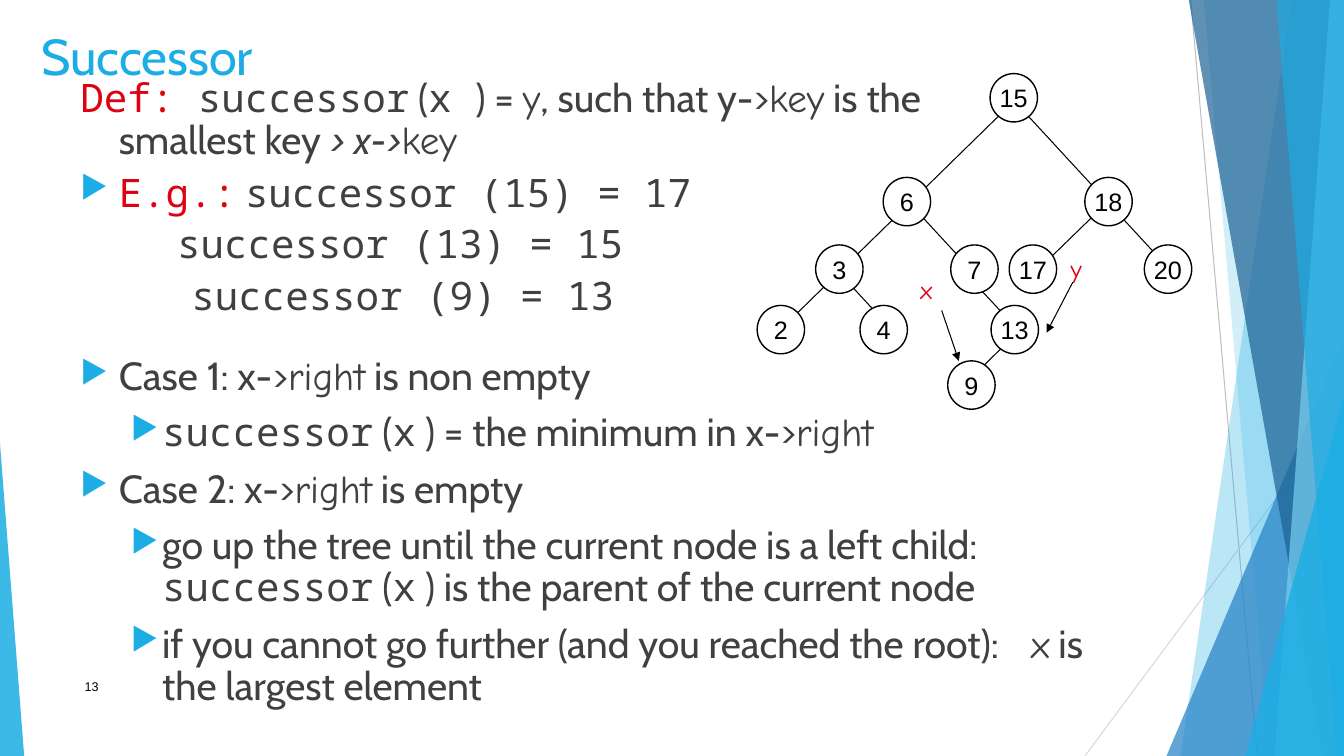
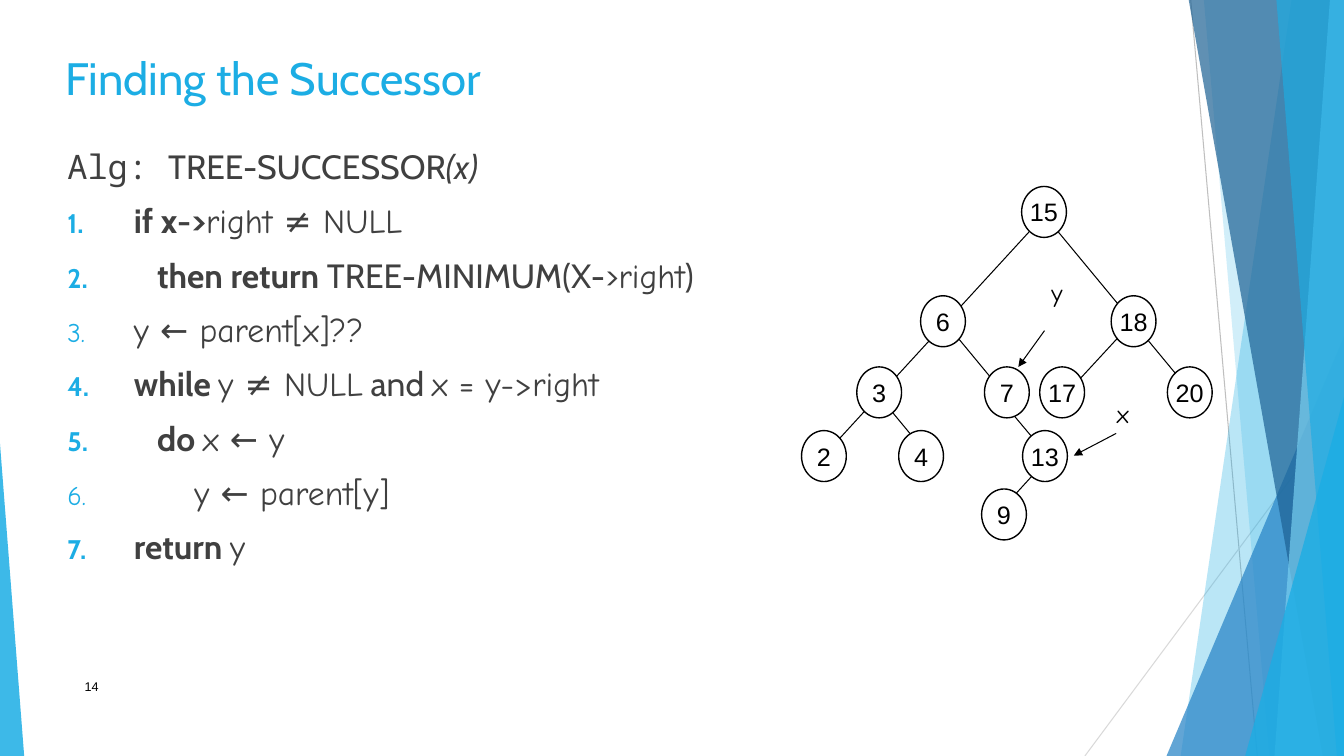
"""Build two slides on finding the successor of a key in a binary search tree."""
import lxml.etree
import pptx
import pptx.dml.color
import pptx.enum.shapes
import pptx.enum.text
import pptx.oxml.ns
import pptx.util

Inches = pptx.util.Inches
Pt = pptx.util.Pt
qn = pptx.oxml.ns.qn
SubElement = lxml.etree.SubElement

BLUE, GREY, BLACK, RED, WHITE = "1CADE4", "404040", "000000", "DD0111", "FFFFFF"
CABIN, COMIC, MONO, ARIAL = "Cabin", "Comic Neue", "Noto Sans Mono", "Arial"
WIDTH, HEIGHT = 13.33, 7.5


def rgb(value):
    """Turn a hex string into a colour."""
    return pptx.dml.color.RGBColor.from_string(value)


def add_line(slide, start_x, start_y, end_x, end_y, color=BLACK, arrow=False):
    """Draw a thin straight line without shadow, with an arrowhead if asked."""
    connector = slide.shapes.add_connector(
        pptx.enum.shapes.MSO_CONNECTOR.STRAIGHT,
        Inches(start_x), Inches(start_y), Inches(end_x), Inches(end_y))
    connector.line.color.rgb = rgb(color)
    connector.line.width = Pt(0.75)
    properties = connector._element.spPr
    if arrow:
        SubElement(properties.find(qn("a:ln")), qn("a:tailEnd"), type="triangle")
    SubElement(properties, qn("a:effectLst"))


backdrop_lines = [
    (11.81, 0, 12.47, HEIGHT, "BFBFBF"),
    (WIDTH, 4.04, 10.76, HEIGHT, "D9D9D9"),
]
backdrop = [
    ("band", (12.81, 11.71), BLUE, 30),
    ("band", (11.94, 12.59), BLUE, 20),
    ("triangle", (11.57, 3.34, 1.76, 1), "2683C6", 72),
    ("band", (11.79, 13.12), "1D6294", 70),
    ("band", (13.19, 12.64), "77CEEF", 70),
    ("band", (12.66, 13.26), BLUE, 65),
    ("triangle", (12.35, 3.94, 0.98, 1), BLUE, 80),
    ("triangle", (0, 4.4, 0.24, 0), BLUE, 85),
]

tree_left, tree_top = 7.51, 0.73
node_width, node_height = 0.47, 0.48
nodes = [
    ("3", 8.09, 2.43), ("2", 7.51, 3.03), ("4", 8.53, 3.03), ("6", 8.76, 1.76),
    ("7", 9.43, 2.43), ("13", 9.83, 3.03), ("15", 9.82, 0.73), ("18", 10.76, 1.76),
    ("17", 10.01, 2.43), ("20", 11.35, 2.43), ("9", 9.4, 3.58),
]
branches = [
    (9.52, 3.86, 10.12, 3.27), (9.61, 2.75, 10.19, 3.37), (10.25, 2.72, 11, 1.99),
    (8.89, 3.32, 8.18, 2.55), (9.68, 2.73, 8.97, 1.96), (11.7, 2.78, 9.92, 0.85),
    (7.75, 3.26, 10.1, 0.96),
]

number = dict(size=9, color=BLACK)
title = dict(size=36, color=BLUE)
red_label = dict(size=18, color=RED)
black_label = dict(size=18, color=BLACK)
plain = dict(size=28, color=GREY, margin=0.38, indent=-0.38, spacing=0.9, before=10)
point = dict(plain, bullet="▶")
subpoint = dict(point, margin=0.81, indent=-0.31)
example = dict(plain, indent=0, spacing=0.8)
heading = dict(size=24, color=GREY, margin=0.58, indent=-0.58, before=10)
step = dict(heading, margin=0.66, indent=-0.66, bullet="1.")
inner_step = dict(step, margin=0.89, indent=-0.89)
deep_step = dict(step, margin=1.26, indent=-1.26)

successor_body = [
    (plain, [("Def:", MONO, "red"), (" successor", MONO), (" (", CABIN), ("x ", MONO),
             (") = ", CABIN), ("y", COMIC), (", such that y->", CABIN), ("key", COMIC),
             (" is the", CABIN), ("\n", CABIN), ("smallest key ", CABIN),
             ("> x->", CABIN, "italic"), ("key", COMIC)]),
    (dict(point, spacing=0.8), [("E.g.:", MONO, "red"), (" ", CABIN),
                                ("successor (15) = 17", MONO)]),
    (dict(example, margin=0.96), [("successor (13) = 15", MONO)]),
    (dict(example, margin=1.1), [("successor (9) = 13", MONO)]),
    (dict(point, before=27.5), [("Case 1: x->", CABIN), ("right", COMIC),
                                (" is non empty", CABIN)]),
    (subpoint, [("successor", MONO), (" (", CABIN), ("x", MONO),
                (" ) = the minimum in x->", CABIN), ("right", COMIC)]),
    (point, [("Case 2: x->", CABIN), ("right", COMIC), (" is empty", CABIN)]),
    (subpoint, [("go up the tree until the current node is a left child: ", CABIN),
                ("successor", MONO), (" (", CABIN), ("x", MONO),
                (" ) is the parent of the current node", CABIN)]),
    (subpoint, [("if you cannot go further (and you reached the root):", CABIN),
                (" ", CABIN, "wide"), ("x", COMIC), (" is the largest element", CABIN)]),
]
algorithm_body = [
    (heading, [("Alg: ", MONO), ("TREE-SUCCESSOR", CABIN), ("(x)", CABIN, "italic")]),
    (step, [("if x->", CABIN, "bold"), ("right ≠ NULL", COMIC)]),
    (inner_step, [("then return ", CABIN, "bold"), ("TREE-MINIMUM(X->", CABIN),
                  ("right", COMIC), (")", CABIN)]),
    (step, [("y ← parent[x]??", COMIC)]),
    (step, [("while ", CABIN, "bold"), ("y ≠ NULL", COMIC), (" and ", CABIN),
            ("x = y->right", COMIC)]),
    (inner_step, [("do ", CABIN, "bold"), ("x ← y", COMIC)]),
    (deep_step, [("y ← parent[y]", COMIC)]),
    (step, [("return ", CABIN, "bold"), ("y", COMIC)]),
]

slides = [
    dict(
        tree=(7.51, 0.73, 1, 1),
        arrows=[(9.34, 3.08, 9.51, 3.58), (10.64, 2.8, 10.38, 3.3)],
        texts=[
            ((0.74, 6.69, 6.89, 0.25), [(number, [("13", ARIAL)])]),
            ((0.31, 0.2, 9.4, 0.7), [(title, [("Successor", CABIN)])]),
            ((0.7, 0.73, 10.37, 5.94), successor_body),
            ((9.03, 2.67, 0.47, 0.55), [(red_label, [("x", COMIC)])]),
            ((10.52, 2.46, 0.44, 0.55), [(red_label, [("y", COMIC)])]),
        ],
    ),
    dict(
        tree=(7.95, 1.85, 0.945, 1.053),
        arrows=[(10.36, 3.28, 10.1, 3.64), (11.07, 4.3, 10.65, 4.52)],
        texts=[
            ((0.74, 6.69, 6.89, 0.25), [(number, [("14", ARIAL)])]),
            ((0.55, 0.45, 10.83, 0.66),
             [(dict(title, size=32.4), [("Finding the Successor", CABIN)])]),
            ((0.57, 1.4, 9.4, 4.24), algorithm_body),
            ((10.33, 2.7, 0.42, 0.58), [(black_label, [("y", COMIC)])]),
            ((10.98, 3.9, 0.42, 0.58), [(black_label, [("x", COMIC)])]),
        ],
    ),
]

presentation = pptx.Presentation()
presentation.slide_width = Inches(WIDTH)
presentation.slide_height = Inches(HEIGHT)

for content in slides:
    slide = presentation.slides.add_slide(presentation.slide_layouts[6])

    for line in backdrop_lines:
        add_line(slide, *line)
    for kind, geometry, color, opacity in backdrop:
        if kind == "band":
            top_x, bottom_x = geometry
            builder = slide.shapes.build_freeform(Inches(top_x), 0)
            builder.add_line_segments([
                (Inches(WIDTH), 0), (Inches(WIDTH), Inches(HEIGHT)),
                (Inches(bottom_x), Inches(HEIGHT))])
            shape = builder.convert_to_shape()
        else:
            left, top, width, apex = geometry
            shape = slide.shapes.add_shape(
                pptx.enum.shapes.MSO_SHAPE.ISOSCELES_TRIANGLE,
                Inches(left), Inches(top), Inches(width), Inches(HEIGHT - top))
            shape.adjustments[0] = apex
        shape.shadow.inherit = False
        shape.line.fill.background()
        shape.fill.solid()
        shape.fill.fore_color.rgb = rgb(color)
        fill_color = shape._element.spPr.find(qn("a:solidFill"))[0]
        SubElement(fill_color, qn("a:alpha"), val=str(opacity * 1000))

    for box, paragraphs in content["texts"]:
        text_box = slide.shapes.add_textbox(*[Inches(length) for length in box])
        frame = text_box.text_frame
        frame.word_wrap = True
        for index, (style, runs) in enumerate(paragraphs):
            paragraph = frame.add_paragraph() if index else frame.paragraphs[0]
            properties = paragraph._p.get_or_add_pPr()
            properties.set("marL", str(Inches(style.get("margin", 0))))
            properties.set("indent", str(Inches(style.get("indent", 0))))
            bullet = style.get("bullet")
            if bullet:
                bullet_color = SubElement(properties, qn("a:buClr"))
                SubElement(bullet_color, qn("a:srgbClr"), val=BLUE)
                SubElement(properties, qn("a:buSzPct"), val="80000")
                if bullet == "1.":
                    SubElement(properties, qn("a:buFont"), typeface=CABIN)
                    SubElement(properties, qn("a:buAutoNum"), type="arabicPeriod")
                else:
                    SubElement(properties, qn("a:buChar"), char=bullet)
            paragraph.line_spacing = style.get("spacing", 1.0)
            paragraph.space_before = Pt(style.get("before", 0))
            paragraph.font.size = Pt(style["size"])
            paragraph.font.color.rgb = rgb(style["color"])
            for text, font, *options in runs:
                if text == "\n":
                    paragraph.add_line_break()
                    continue
                run = paragraph.add_run()
                run.text = text
                run.font.name = font
                if "bold" in options:
                    run.font.bold = True
                if "italic" in options:
                    run.font.italic = True
                if "red" in options:
                    run.font.color.rgb = rgb(RED)
                if "wide" in options:
                    run.font._element.set("spc", "1700")

    left, top, scale_x, scale_y = content["tree"]
    for start_x, start_y, end_x, end_y in branches:
        add_line(slide,
                 left + (start_x - tree_left) * scale_x, top + (start_y - tree_top) * scale_y,
                 left + (end_x - tree_left) * scale_x, top + (end_y - tree_top) * scale_y)
    for key, node_x, node_y in nodes:
        node = slide.shapes.add_shape(
            pptx.enum.shapes.MSO_SHAPE.OVAL,
            Inches(left + (node_x - tree_left) * scale_x),
            Inches(top + (node_y - tree_top) * scale_y),
            Inches(node_width * scale_x), Inches(node_height * scale_y))
        node.shadow.inherit = False
        node.fill.solid()
        node.fill.fore_color.rgb = rgb(WHITE)
        node.line.color.rgb = rgb(BLACK)
        node.line.width = Pt(1)
        frame = node.text_frame
        frame.word_wrap = False
        frame.vertical_anchor = pptx.enum.text.MSO_ANCHOR.MIDDLE
        paragraph = frame.paragraphs[0]
        paragraph.alignment = pptx.enum.text.PP_ALIGN.CENTER
        paragraph.font.name = ARIAL
        paragraph.font.size = Pt(18)
        paragraph.font.color.rgb = rgb(BLACK)
        paragraph.add_run().text = key
    for arrow in content["arrows"]:
        add_line(slide, *arrow, arrow=True)

presentation.save("out.pptx")
